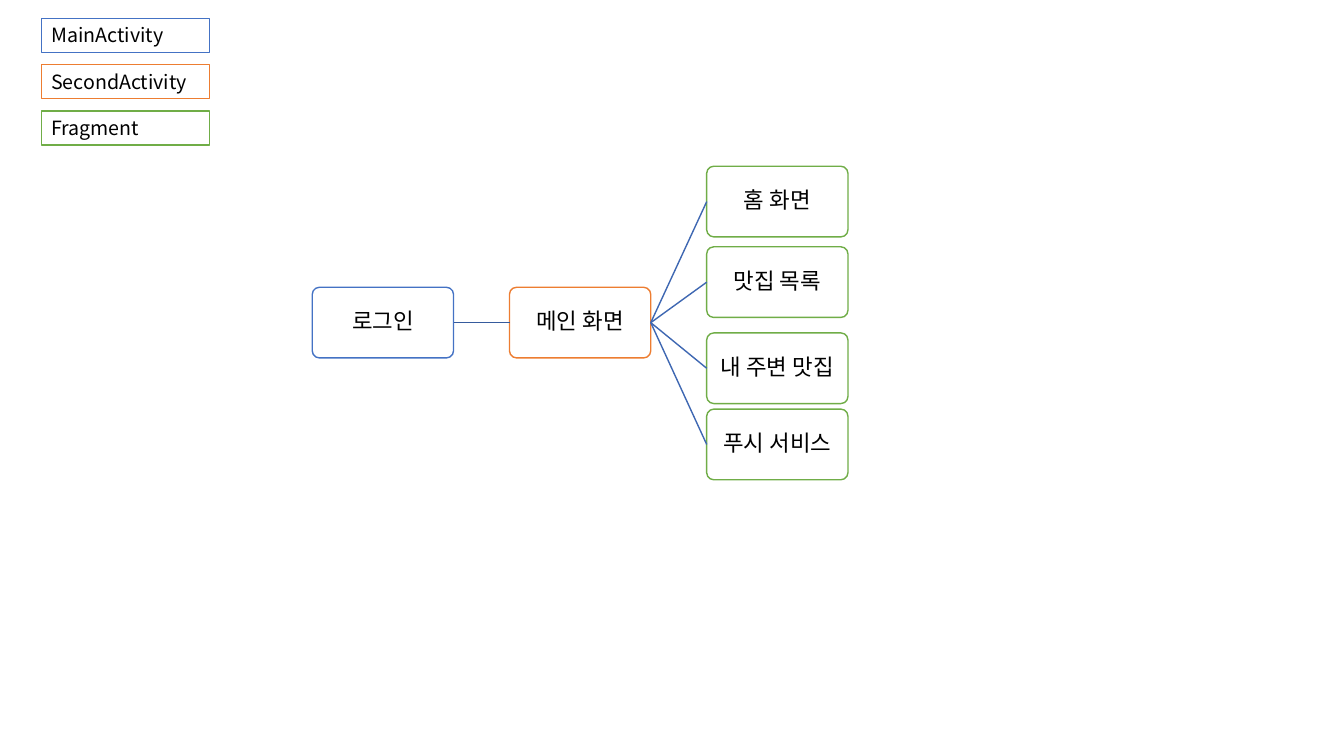
from lxml import etree
from pptx import Presentation
from pptx.dml.color import RGBColor
from pptx.enum.shapes import MSO_CONNECTOR, MSO_SHAPE
from pptx.enum.text import MSO_ANCHOR, PP_ALIGN
from pptx.oxml.ns import qn
from pptx.util import Cm, Pt

RECT, ROUNDED = MSO_SHAPE.RECTANGLE, MSO_SHAPE.ROUNDED_RECTANGLE
STRAIGHT = MSO_CONNECTOR.STRAIGHT
TOP, MIDDLE = MSO_ANCHOR.TOP, MSO_ANCHOR.MIDDLE
LEFT, CENTER = PP_ALIGN.LEFT, PP_ALIGN.CENTER
LEFT_SIDE, RIGHT_SIDE = 1, 3
BLUE, ORANGE, GREEN = "4472C4", "ED7D31", "70AD47"
ROOT_LINK, BRANCH_LINK = "365B9D", "3E67B2"


def color(hex_code):
    return RGBColor.from_string(hex_code)


class ScreenMap:
    """Draws a screen-flow tree and its legend on one slide."""

    font_name = "Noto Sans CJK KR"
    line_width = Pt(1)
    node_size = Cm(3.56), Cm(1.78)
    key_size = Cm(4.24), Cm(0.86)

    def __init__(self, slide):
        self.slide = slide

    def box(self, kind, left, top, size, outline):
        shape = self.slide.shapes.add_shape(kind, Cm(left), Cm(top), *size)
        shape.shadow.inherit = False
        shape.fill.solid()
        shape.fill.fore_color.rgb = color("FFFFFF")
        shape.line.color.rgb = color(outline)
        shape.line.width = self.line_width
        return shape

    def label(self, shape, text, size, align, anchor):
        frame = shape.text_frame
        frame.word_wrap = True
        frame.vertical_anchor = anchor
        paragraph = frame.paragraphs[0]
        paragraph.text = text
        paragraph.alignment = align
        font = paragraph.font
        font.name = self.font_name
        font.size = Pt(size)
        font.color.rgb = color("000000")
        defaults = paragraph._p.pPr.find(qn("a:defRPr"))
        etree.SubElement(defaults, qn("a:ea"), typeface=self.font_name)
        return paragraph

    def key(self, text, left, top, outline):
        entry = self.box(RECT, left, top, self.key_size, outline)
        self.label(entry, text, 14, LEFT, TOP)

    def node(self, text, left, top, outline):
        screen = self.box(ROUNDED, left, top, self.node_size, outline)
        screen.adjustments[0] = 0.1
        frame = screen.text_frame
        frame.margin_left = frame.margin_right = Cm(0.03)
        frame.margin_top = frame.margin_bottom = Cm(0.03)
        caption = self.label(screen, text, 16, CENTER, MIDDLE)
        caption.line_spacing = 0.9
        caption.space_after = Pt(5.6)
        return screen

    def link(self, parent, child, line_color):
        branch = self.slide.shapes.add_connector(STRAIGHT, 0, 0, 0, 0)
        branch.begin_connect(parent, RIGHT_SIDE)
        branch.end_connect(child, LEFT_SIDE)
        branch.line.color.rgb = color(line_color)
        branch.line.width = self.line_width
        etree.SubElement(branch._element.spPr, qn("a:effectLst"))


def main():
    deck = Presentation()
    deck.slide_width, deck.slide_height = Cm(33.87), Cm(19.05)
    screens = ScreenMap(deck.slides.add_slide(deck.slide_layouts[6]))

    legend = [("MainActivity", BLUE), ("SecondActivity", ORANGE), ("Fragment", GREEN)]
    for row, (name, outline) in enumerate(legend):
        screens.key(name, 1.04, 0.46 + 1.17 * row, outline)

    login_left, column_step, root_top = 7.87, 4.97, 7.24
    login = screens.node("로그인", login_left, root_top, BLUE)
    main_screen = screens.node("메인 화면", login_left + column_step, root_top, ORANGE)
    screens.link(login, main_screen, ROOT_LINK)

    fragments = [
        ("홈 화면", 4.19),
        ("맛집 목록", 6.22),
        ("내 주변 맛집", 8.39),
        ("푸시 서비스", 10.31),
    ]
    for name, top in fragments:
        fragment = screens.node(name, login_left + 2 * column_step, top, GREEN)
        screens.link(main_screen, fragment, BRANCH_LINK)

    deck.save("out.pptx")


if __name__ == "__main__":
    main()
